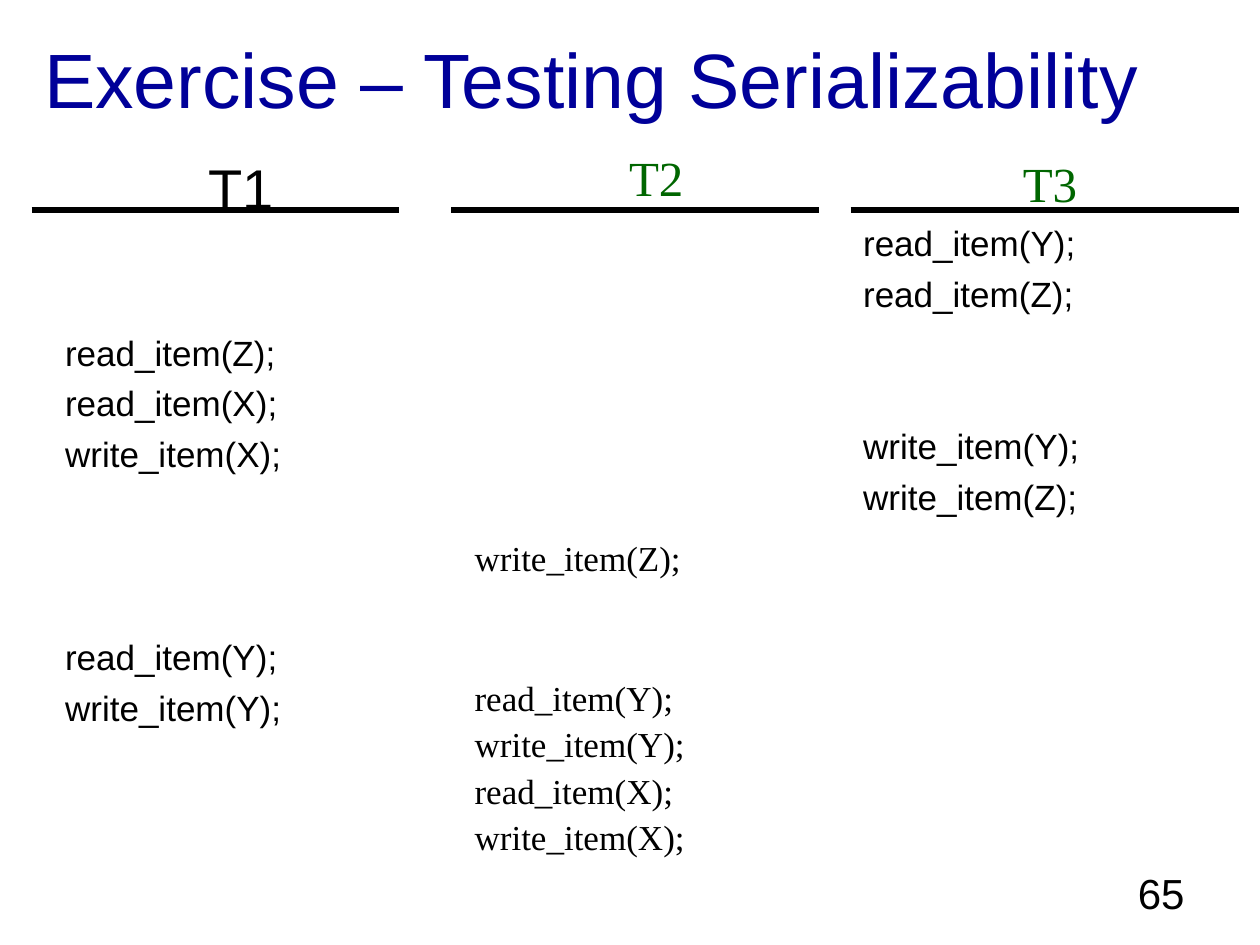
from dataclasses import dataclass

import pptx
import pptx.enum.shapes
import pptx.enum.text
import pptx.oxml
import pptx.oxml.ns
import pptx.util
from pptx.dml.color import RGBColor
from pptx.util import Pt

NAVY = RGBColor(0x00, 0x00, 0x99)
GREEN = RGBColor(0x00, 0x66, 0x00)
BLACK = RGBColor(0x00, 0x00, 0x00)
SANS = "Arial"
SERIF = "Times New Roman"
ALIGN = pptx.enum.text.PP_ALIGN
ANCHOR = pptx.enum.text.MSO_ANCHOR
TOP = 84.24
GAP = 5
LINE = 24
INDENT = 27
RULE_Y = 120


@dataclass
class Step:
    row: int
    text: str


@dataclass
class Column:
    slot: int
    head: str
    left: float
    width: float
    height: float
    font: str
    size: int
    color: RGBColor
    code: str
    lead: float
    start: float
    end: float
    steps: list[Step]


COLUMNS = [
    Column(1, "T1", 30, 216, 354, SANS, 32, BLACK, SANS, 1, 18, 228, [
        Step(3, "read_item(Z);"), Step(4, "read_item(X);"),
        Step(5, "write_item(X);"), Step(9, "read_item(Y);"),
        Step(10, "write_item(Y);")]),
    Column(2, "T2", 264, 222, 444, SERIF, 28, GREEN, SERIF, 0.9, 258, 468, [
        Step(8, "write_item(Z);"), Step(11, "read_item(Y);"),
        Step(12, "write_item(Y);"), Step(13, "read_item(X);"),
        Step(14, "write_item(X);")]),
    Column(3, "T3", 486, 228, 354, SERIF, 28, GREEN, SANS, 1, 486, 708, [
        Step(1, "read_item(Y);"), Step(2, "read_item(Z);"),
        Step(5, "write_item(Y);"), Step(6, "write_item(Z);")]),
]


def place(shape, left: float, top: float, width: float, height: float, anchor) -> None:
    shape.left, shape.top = Pt(left), Pt(top)
    shape.width, shape.height = Pt(width), Pt(height)
    frame = shape.text_frame
    frame.word_wrap = True
    frame.auto_size = pptx.enum.text.MSO_AUTO_SIZE.NONE
    frame.vertical_anchor = anchor
    frame.margin_left = frame.margin_right = Pt(7.2)
    frame.margin_top = frame.margin_bottom = Pt(3.6)


def style(para, font: str, size: int, color: RGBColor, align) -> None:
    para.alignment = align
    for run in para.runs:
        run.font.name = font
        run.font.size = Pt(size)
        run.font.color.rgb = color
        run.font.bold = False


def space(para, before: float, lead: float) -> None:
    props = para._p.get_or_add_pPr()
    props.set("marL", str(Pt(INDENT)))
    props.set("indent", str(-Pt(INDENT)))
    props.append(pptx.oxml.parse_xml(
        f'<a:buNone {pptx.oxml.ns.nsdecls("a")}/>'))
    para.space_before = Pt(before)
    para.space_after = Pt(0)
    para.line_spacing = float(lead)


def fill(slide, col: Column) -> None:
    shape = slide.placeholders[col.slot]
    place(shape, col.left, TOP, col.width, col.height, ANCHOR.TOP)
    frame = shape.text_frame
    frame.text = "\n".join([col.head] + [step.text for step in col.steps])
    head, *lines = frame.paragraphs
    space(head, 0, col.lead)
    style(head, col.font, col.size, col.color, ALIGN.CENTER)
    pitch = LINE * col.lead + GAP
    last = 0
    for para, step in zip(lines, col.steps):
        space(para, round(GAP + (step.row - last - 1) * pitch, 2), col.lead)
        style(para, col.code, 20, BLACK, ALIGN.LEFT)
        last = step.row


def rule(slide, start: float, end: float) -> None:
    line = slide.shapes.add_connector(
        pptx.enum.shapes.MSO_CONNECTOR.STRAIGHT,
        Pt(start), Pt(RULE_Y), Pt(end), Pt(RULE_Y))
    line.line.color.rgb = BLACK
    line.line.width = Pt(3)
    line._element.spPr.append(pptx.oxml.parse_xml(
        f'<a:effectLst {pptx.oxml.ns.nsdecls("a")}/>'))


def main() -> None:
    deck = pptx.Presentation()
    deck.slide_width, deck.slide_height = Pt(720), Pt(540)
    slide = deck.slides.add_slide(deck.slide_layouts.get_by_name("Comparison"))

    title = slide.shapes.title
    place(title, 18, -0.72, 648, 90, ANCHOR.MIDDLE)
    title.text_frame.text = "Exercise – Testing Serializability"
    style(title.text_frame.paragraphs[0], SANS, 44, NAVY, ALIGN.LEFT)

    for col in COLUMNS:
        fill(slide, col)
    spare = slide.placeholders[4]._element
    spare.getparent().remove(spare)

    page = slide.shapes.add_textbox(0, 0, 0, 0)
    place(page, 516, 492, 168, 38, ANCHOR.TOP)
    page.text_frame.text = "65"
    style(page.text_frame.paragraphs[0], SANS, 24, BLACK, ALIGN.RIGHT)

    for col in COLUMNS:
        rule(slide, col.start, col.end)
    deck.save("out.pptx")


if __name__ == "__main__":
    main()
